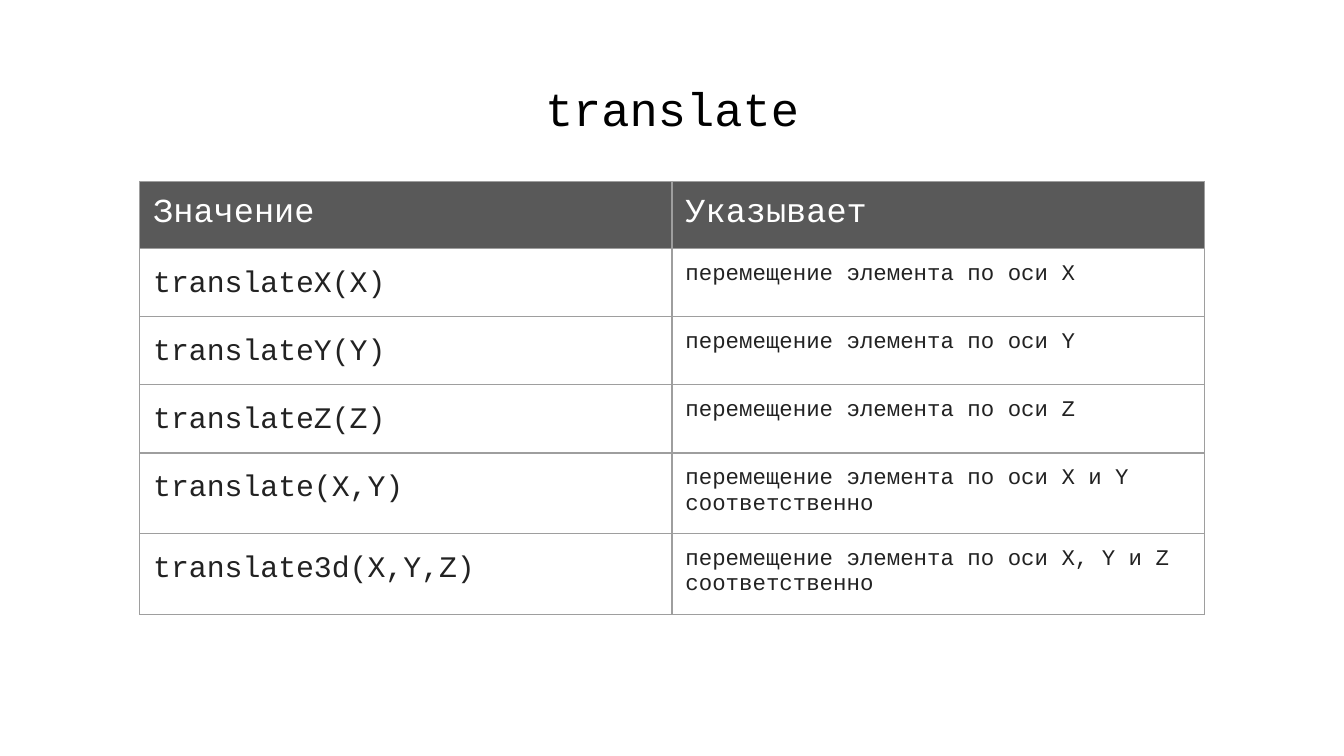
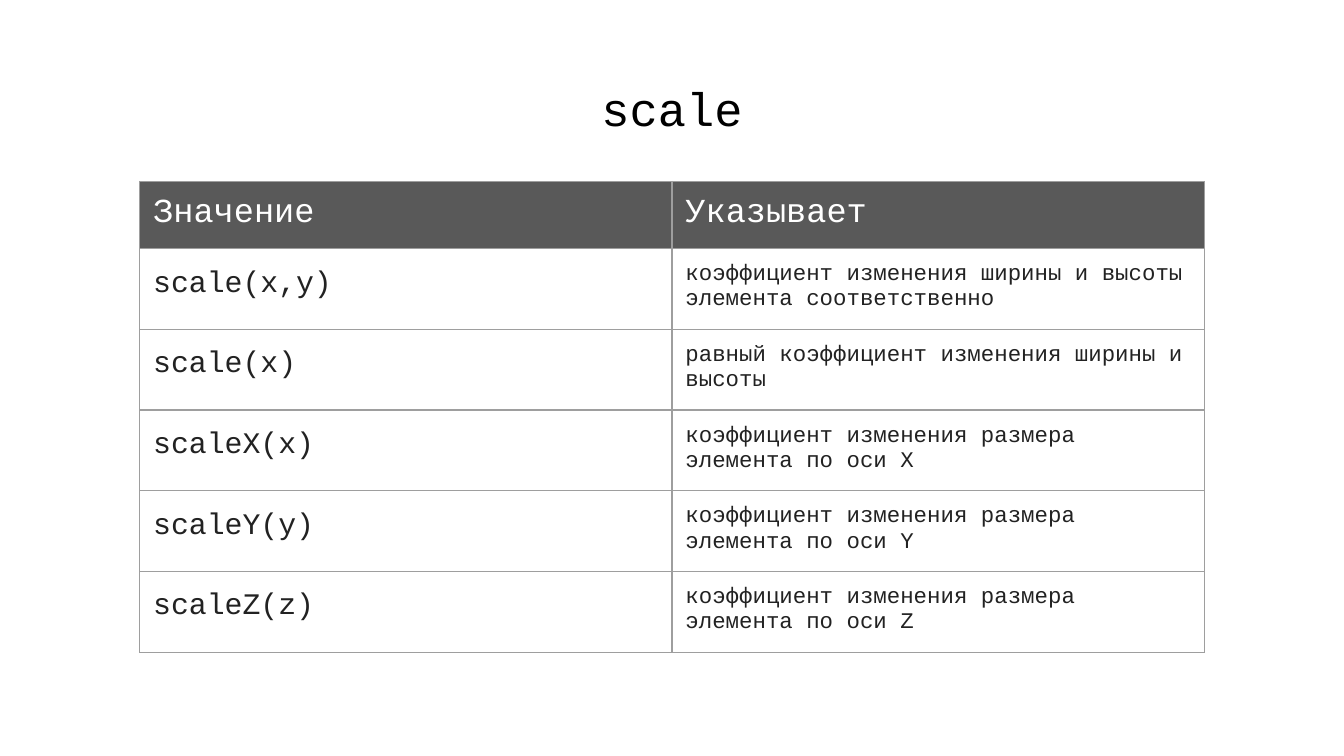
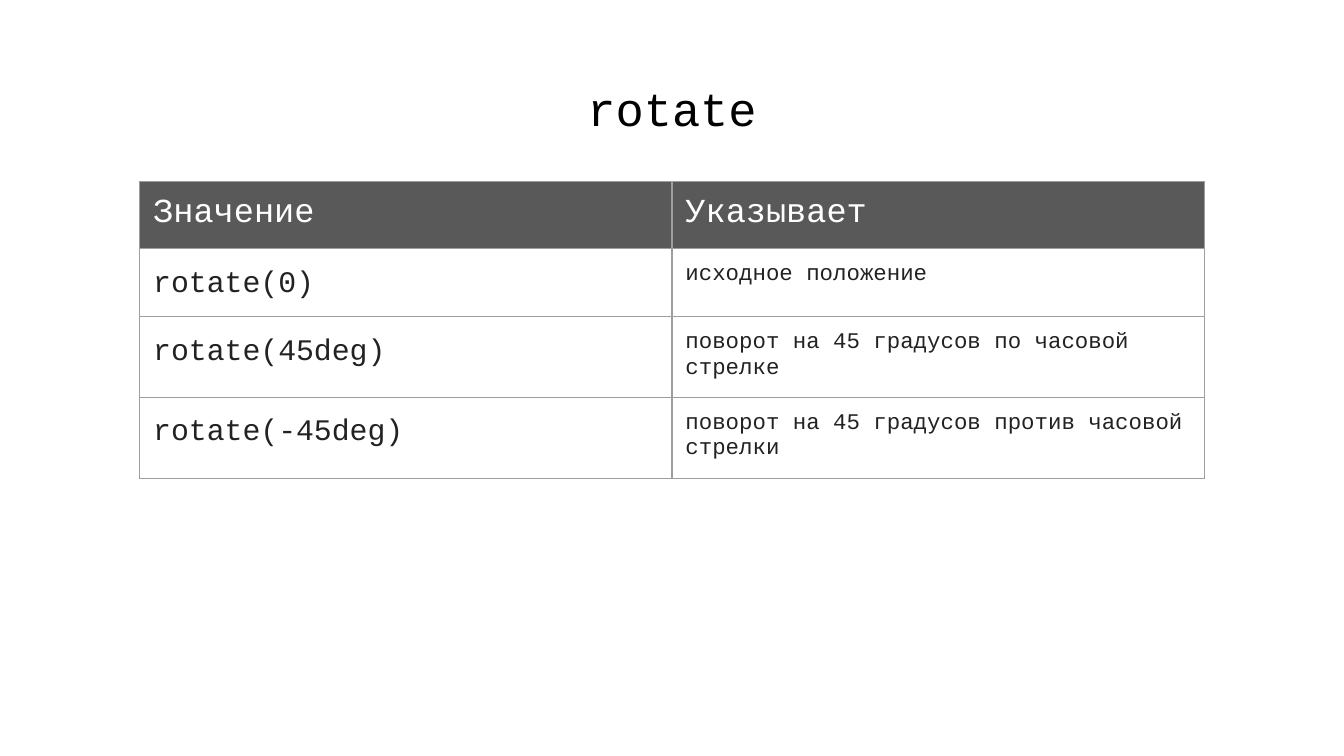
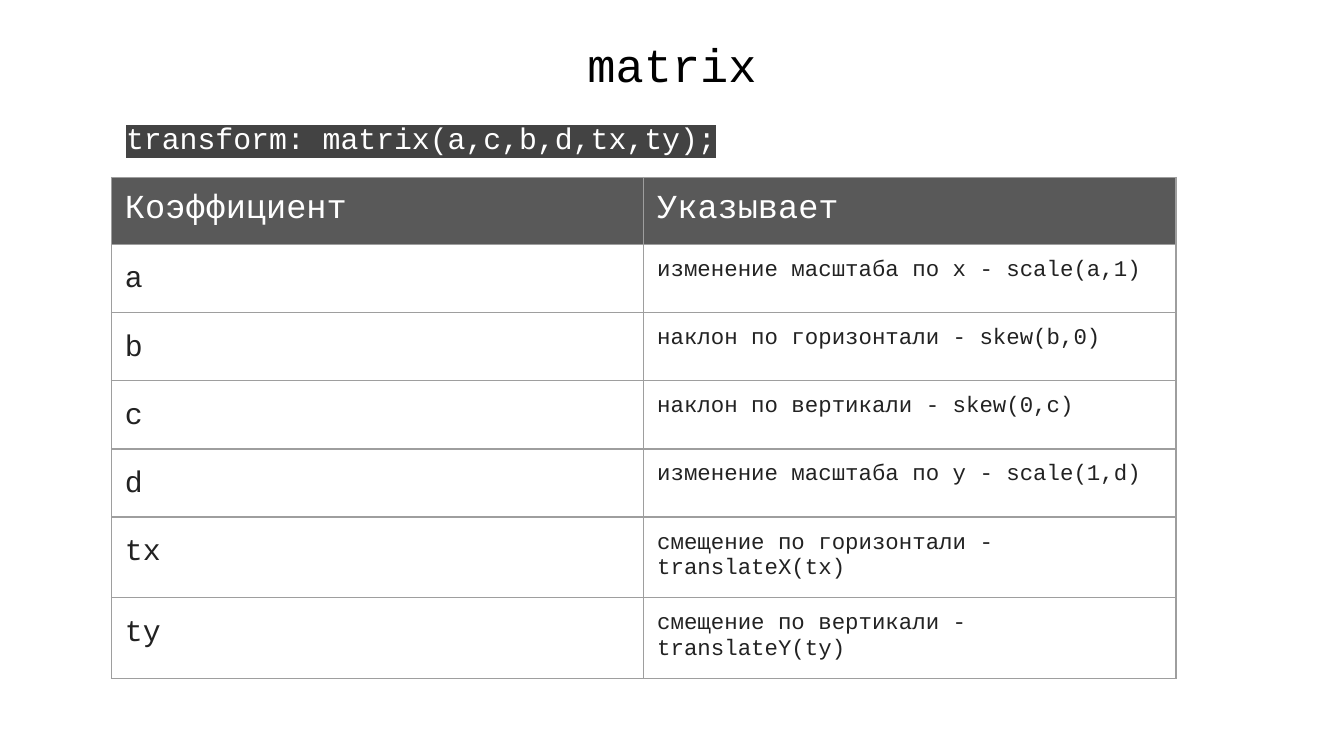
from lxml import etree
from pptx import Presentation
from pptx import util as u
from pptx.dml.color import RGBColor
from pptx.enum import text
from pptx.oxml.ns import qn

BLACK = RGBColor(0x00, 0x00, 0x00)
WHITE = RGBColor(0xFF, 0xFF, 0xFF)
INK = RGBColor(0x22, 0x22, 0x22)
HEADER_GREY = RGBColor(0x59, 0x59, 0x59)
CODE_GREY = RGBColor(0x43, 0x43, 0x43)
BORDER_GREY = RGBColor(0x9E, 0x9E, 0x9E)
FONT = "Courier New"
WIDTH = u.Inches(10)
HEIGHT = WIDTH * 9 // 16
INSET = u.Inches(0.1)
MARGIN = int(WIDTH * 0.034)
TITLE_HEIGHT = u.Inches(0.63)
FRAME = u.Inches(3.28)
COLUMN = u.Inches(3.96)
ROW = u.Inches(0.42)

TOPICS = [
    ("translate", 0.49, (1.04, 1.35), None, [
        ("Значение", "Указывает"),
        ("translateX(X)", "перемещение элемента по оси X"),
        ("translateY(Y)", "перемещение элемента по оси Y"),
        ("translateZ(Z)", "перемещение элемента по оси Z"),
        ("translate(X,Y)", "перемещение элемента по оси X и Y соответственно"),
        ("translate3d(X,Y,Z)", "перемещение элемента по оси X, Y и Z соответственно"),
    ]),
    ("scale", 0.49, (1.04, 1.35), None, [
        ("Значение", "Указывает"),
        ("scale(x,y)", "коэффициент изменения ширины и высоты элемента соответственно"),
        ("scale(x)", "равный коэффициент изменения ширины и высоты"),
        ("scaleX(x)", "коэффициент изменения размера элемента по оси X"),
        ("scaleY(y)", "коэффициент изменения размера элемента по оси Y"),
        ("scaleZ(z)", "коэффициент изменения размера элемента по оси Z"),
    ]),
    ("rotate", 0.49, (1.04, 1.35), None, [
        ("Значение", "Указывает"),
        ("rotate(0)", "исходное положение"),
        ("rotate(45deg)", "поворот на 45 градусов по часовой стрелке"),
        ("rotate(-45deg)", "поворот на 45 градусов против часовой стрелки"),
    ]),
    ("matrix", 0.16, (0.83, 1.32), "transform: matrix(a,c,b,d,tx,ty);", [
        ("Коэффициент", "Указывает"),
        ("a", "изменение масштаба по x - scale(a,1)"),
        ("b", "наклон по горизонтали - skew(b,0)"),
        ("c", "наклон по вертикали - skew(0,с)"),
        ("d", "изменение масштаба по y - scale(1,d)"),
        ("tx", "смещение по горизонтали - translateX(tx)"),
        ("ty", "смещение по вертикали - translateY(ty)"),
    ]),
]


def write(frame, words, size, color, highlight=None, spacing=1.0):
    frame.word_wrap = True
    frame.margin_left = frame.margin_right = INSET
    frame.margin_top = frame.margin_bottom = INSET
    paragraph = frame.paragraphs[0]
    paragraph.line_spacing = spacing
    run = paragraph.add_run()
    run.text = words
    run.font.size = u.Pt(size)
    run.font.name = FONT
    run.font.color.rgb = color
    if highlight is not None:
        mark = etree.Element(qn("a:highlight"))
        etree.SubElement(mark, qn("a:srgbClr"), val=str(highlight))
        run.font._element.find(qn("a:solidFill")).addnext(mark)
    return paragraph


def outline(cell):
    properties = cell._tc.get_or_add_tcPr()
    for position, side in enumerate(("lnL", "lnR", "lnT", "lnB")):
        line = etree.Element(qn("a:" + side), w=str(u.Pt(0.75)))
        fill = etree.SubElement(line, qn("a:solidFill"))
        etree.SubElement(fill, qn("a:srgbClr"), val=str(BORDER_GREY))
        properties.insert(position, line)


deck = Presentation()
deck.slide_width, deck.slide_height = WIDTH, HEIGHT

for topic, title_top, (left, top), syntax, entries in TOPICS:
    slide = deck.slides.add_slide(deck.slide_layouts[6])
    title = slide.shapes.add_textbox(
        MARGIN, u.Inches(title_top), WIDTH - 2 * MARGIN, TITLE_HEIGHT).text_frame
    title.vertical_anchor = text.MSO_ANCHOR.MIDDLE
    write(title, topic, 25.2, BLACK).alignment = text.PP_ALIGN.CENTER

    if syntax:
        declaration = slide.shapes.add_textbox(
            MARGIN, u.Inches(title_top) + TITLE_HEIGHT,
            WIDTH - 2 * MARGIN, int(HEIGHT * 0.75)).text_frame
        line = write(declaration, syntax, 16, WHITE, CODE_GREY)
        line._p.get_or_add_pPr().set("marL", "0")
        line._p.get_or_add_pPr().set("indent", str(u.Inches(0.5)))

    holder = slide.shapes.add_table(
        len(entries), 2, u.Inches(left), u.Inches(top), FRAME, FRAME)
    reference = holder.table
    reference.first_row = reference.horz_banding = False
    for column in reference.columns:
        column.width = COLUMN
    for row, entry in enumerate(entries):
        reference.rows[row].height = ROW
        for column, words in enumerate(entry):
            cell = reference.cell(row, column)
            cell.margin_left = cell.margin_right = INSET
            cell.margin_top = cell.margin_bottom = INSET
            if row == 0:
                cell.fill.solid()
                cell.fill.fore_color.rgb = HEADER_GREY
                write(cell.text_frame, words, 18, WHITE)
            else:
                cell.fill.background()
                size, spacing = ((16, 1.15), (12, 1.0))[column]
                write(cell.text_frame, words, size, INK, WHITE, spacing)
            outline(cell)
    holder.width = holder.height = FRAME

deck.save("out.pptx")
